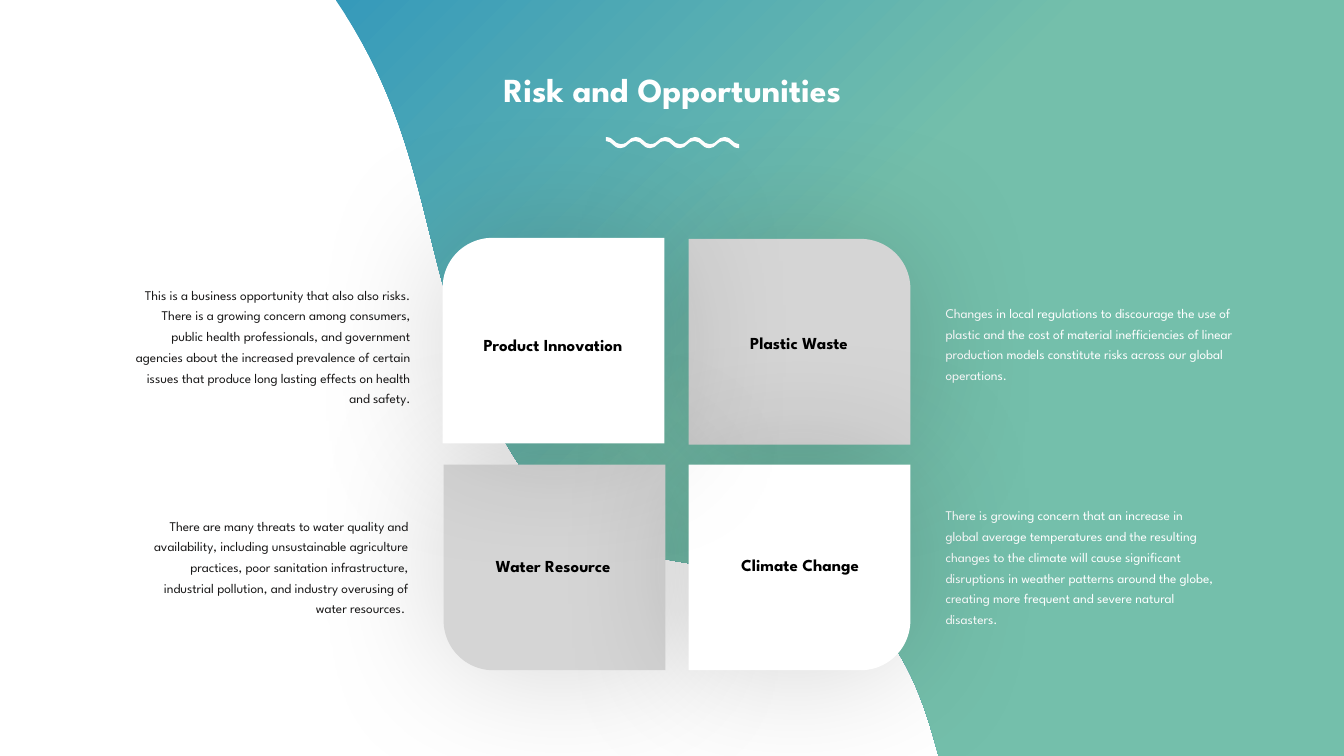
from dataclasses import dataclass

from lxml import etree
from pptx import Presentation
from pptx import util as u
from pptx.dml.color import RGBColor
from pptx.enum import shapes, text
from pptx.oxml import ns

COLORS = {
    "white": "FFFFFF",
    "black": "000000",
    "ink": "181717",
    "gray": "D5D5D5",
    "green": "74BFAB",
    "blue": "369ABA",
}
FONT = "League Spartan"
Point = tuple[float, float]
Segment = tuple[Point, ...]


@dataclass(frozen=True)
class Label:
    wording: str
    left: float
    top: float
    width: float
    height: float
    size: float
    color: str
    align: text.PP_ALIGN = text.PP_ALIGN.CENTER
    bold: bool = False
    spacing: float | None = None
    inset: Point = (0.03, 0.03)


@dataclass(frozen=True)
class Tile:
    wording: str
    left: float
    top: float
    flip_h: int
    flip_v: int
    fill: str
    label_left: float
    label_top: float


@dataclass(frozen=True)
class Caption:
    wording: str
    left: float
    top: float
    width: float
    height: float
    color: str
    align: text.PP_ALIGN


TILES = [
    Tile("Plastic Waste", 6.83, 2.37, 0, 0, "gray", 6.83, 3.27),
    Tile("Water Resource", 4.4, 4.61, 1, 1, "gray", 4.39, 5.48),
    Tile("Climate Change", 6.83, 4.61, 0, 1, "white", 6.84, 5.47),
    Tile("Product Innovation", 4.39, 2.36, 1, 0, "white", 4.39, 3.29),
]

CAPTIONS = [
    Caption("This is a business opportunity that also also risks. There is a growing concern "
            "among consumers, public health professionals, and government agencies about the "
            "increased prevalence of certain issues that produce long lasting effects on health "
            "and safety.", 1.18, 2.75, 2.99, 1.33, "ink", text.PP_ALIGN.RIGHT),
    Caption("Changes in local regulations to discourage the use of plastic and the cost of "
            "material inefficiencies of linear production models constitute risks across our "
            "global operations.", 9.28, 2.93, 3.08, 0.91, "white", text.PP_ALIGN.LEFT),
    Caption("There is growing concern that an increase in global average temperatures and the "
            "resulting changes to the climate will cause significant disruptions in weather "
            "patterns around the globe, creating more frequent and severe natural disasters.",
            9.28, 4.94, 2.89, 1.33, "white", text.PP_ALIGN.LEFT),
    Caption("There are many threats to water quality and availability, including unsustainable "
            "agriculture practices, poor sanitation infrastructure, industrial pollution, and "
            "industry overusing of water resources. ",
            1.37, 5.04, 2.78, 1.12, "ink", text.PP_ALIGN.RIGHT),
]

SEA_START = (3.33, 0)
SEA_OUTLINE: list[Segment] = [
    ((13.37, 0),),
    ((13.37, 7.5),),
    ((9.31, 7.5),),
    ((9.25, 7.29),),
    ((9.13, 6.87), (8.97, 6.51), (8.74, 6.24)),
    ((7.82, 5.16), (6.05, 6.23), (5.02, 4.4)),
    ((4.12, 2.8), (4.37, 1.59), (3.39, 0.09)),
]


def rgb(name: str) -> RGBColor:
    return RGBColor.from_string(COLORS[name])


def add_node(parent, tag: str, **attributes):
    node = etree.SubElement(parent, ns.qn(tag))
    for key, value in attributes.items():
        node.set(key, str(value))
    return node


def style(shape, fill: str) -> None:
    shape.fill.solid()
    shape.fill.fore_color.rgb = rgb(fill)
    shape.line.fill.background()
    shape.shadow.inherit = False


def add_glow_shadow(shape) -> None:
    effects = shape.element.spPr.find(ns.qn("a:effectLst"))
    outer = add_node(effects, "a:outerShdw", blurRad=u.Pt(100), algn="ctr", rotWithShape=0)
    tint = add_node(outer, "a:srgbClr", val=COLORS["black"])
    add_node(tint, "a:alpha", val=17000)


def apply_radial_gradient(shape, stops: list[tuple[int, str]]) -> None:
    properties = shape.element.spPr
    gradient = etree.Element(ns.qn("a:gradFill"), rotWithShape="1")
    stop_list = add_node(gradient, "a:gsLst")
    for position, color in stops:
        stop = add_node(stop_list, "a:gs", pos=position * 1000)
        add_node(stop, "a:srgbClr", val=COLORS[color])
    circle = add_node(gradient, "a:path", path="circle")
    add_node(circle, "a:fillToRect", l=100000, t=100000)
    properties.replace(properties.find(ns.qn("a:solidFill")), gradient)


def draw_outline(page, start: Point, segments: list[Segment]):
    builder = page.shapes.build_freeform(*map(u.Inches, start))
    builder.add_line_segments([tuple(map(u.Inches, segment[-1])) for segment in segments])
    outline = builder.convert_to_shape()
    lines = list(outline.element.iter(ns.qn("a:lnTo")))
    for line, segment in zip(lines, segments):
        if len(segment) == 3:
            curve = etree.Element(ns.qn("a:cubicBezTo"))
            for x, y in segment:
                add_node(curve, "a:pt", x=u.Inches(x) - outline.left, y=u.Inches(y) - outline.top)
            line.getparent().replace(line, curve)
    return outline


def draw_sea(page) -> None:
    sea = draw_outline(page, SEA_START, SEA_OUTLINE)
    style(sea, "white")
    apply_radial_gradient(sea, [(57, "green"), (100, "blue")])


def wave_edge(start: Point, reach: float, rise: float, count: int) -> list[Segment]:
    x, y = start
    segments: list[Segment] = []
    for index in range(count):
        drop = rise if index % 2 == 0 else -rise
        points = [(x + reach * across, y + drop * down) for across, down in
                  ((0.28, 0), (0.42, 0.25), (0.53, 0.5), (0.65, 0.75), (0.77, 1), (1, 1))]
        segments += [tuple(points[:3]), tuple(points[3:])]
        x, y = points[-1]
    return segments


def draw_squiggle(page) -> None:
    left, right, top, bottom, rise, count = 6.01, 7.33, 1.36, 1.47, 0.07, 9
    reach = (right - left) / count
    outline = wave_edge((right, bottom), -reach, -rise, count)
    outline.append(((left, top),))
    outline += wave_edge((left, top), reach, rise, count)
    outline.append(((right, bottom),))
    style(draw_outline(page, (right, bottom), outline), "white")


def draw_label(page, label: Label) -> None:
    box = page.shapes.add_textbox(*map(u.Inches, (label.left, label.top,
                                                  label.width, label.height)))
    frame = box.text_frame
    frame.text = label.wording
    frame.word_wrap = True
    frame.auto_size = text.MSO_AUTO_SIZE.SHAPE_TO_FIT_TEXT
    frame.margin_left = frame.margin_right = u.Inches(label.inset[0])
    frame.margin_top = frame.margin_bottom = u.Inches(label.inset[1])
    para = frame.paragraphs[0]
    para.alignment = label.align
    para.line_spacing = label.spacing
    for span in para.runs:
        span.font.name = FONT
        span.font.size = u.Pt(label.size)
        span.font.bold = label.bold
        span.font.color.rgb = rgb(label.color)


def draw_tile(page, tile: Tile) -> None:
    card = page.shapes.add_shape(shapes.MSO_SHAPE.ROUND_1_RECTANGLE,
                                 *map(u.Inches, (tile.left, tile.top, 2.2, 2.04)))
    card.adjustments[0] = 0.242
    placement = card.element.spPr.find(ns.qn("a:xfrm"))
    placement.set("flipH", str(tile.flip_h))
    placement.set("flipV", str(tile.flip_v))
    style(card, tile.fill)
    add_glow_shadow(card)
    draw_label(page, Label(tile.wording, tile.label_left, tile.label_top, 2.19, 0.26, 12,
                           "black", bold=True))


def main() -> None:
    deck = Presentation()
    deck.slide_width, deck.slide_height = u.Inches(13.33), u.Inches(7.5)
    page = deck.slides.add_slide(deck.slide_layouts[6])
    draw_sea(page)
    for note in CAPTIONS:
        draw_label(page, Label(note.wording, note.left, note.top, note.width, note.height, 9.5,
                               note.color, note.align, spacing=1.3, inset=(0.1, 0.05)))
    draw_label(page, Label("Risk and Opportunities", 4.05, 0.65, 5.24, 0.46, 24, "white", bold=True))
    draw_squiggle(page)
    for tile in TILES:
        draw_tile(page, tile)
    deck.save("out.pptx")


if __name__ == "__main__":
    main()
